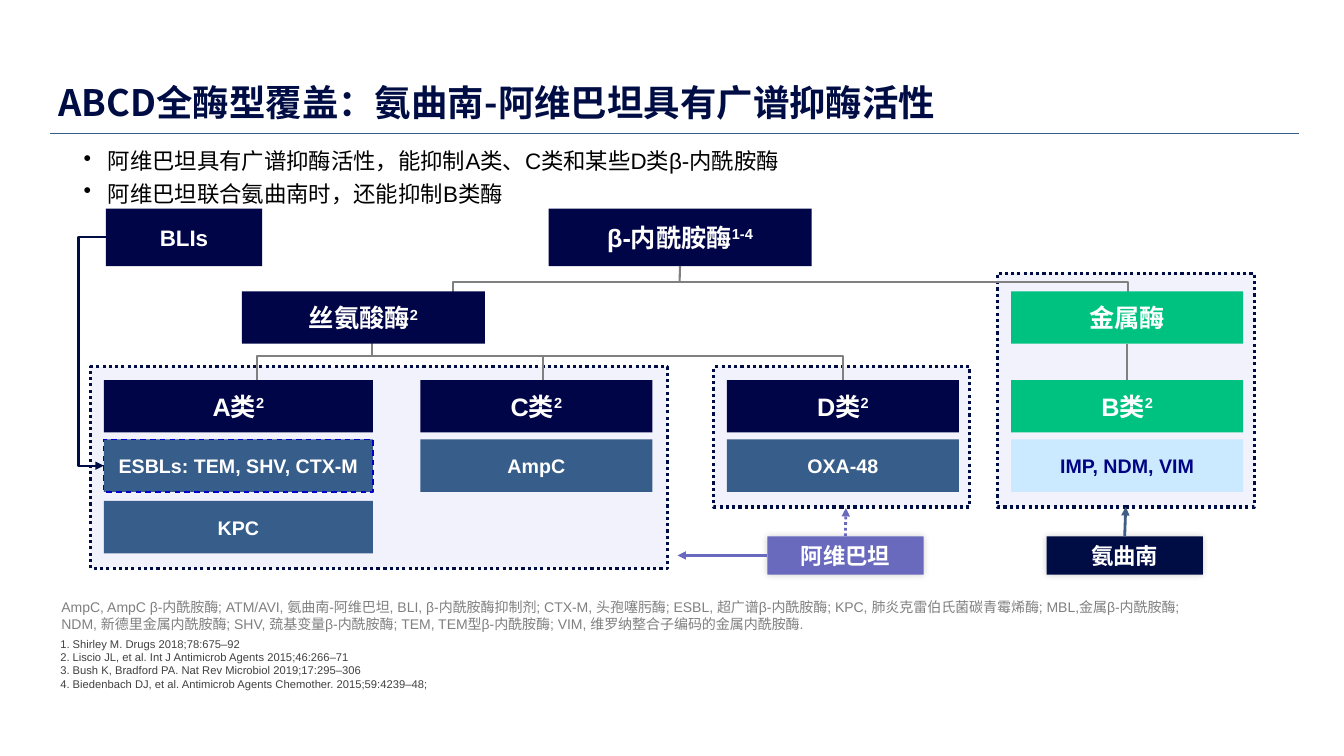
from dataclasses import dataclass
from typing import Optional

from lxml import etree
from pptx import Presentation
from pptx import util as u
from pptx.dml.color import RGBColor
from pptx.enum import dml, shapes, text
from pptx.oxml import ns

NAVY = RGBColor(0x00, 0x05, 0x48)
INK = RGBColor(0x00, 0x0D, 0x45)
DEEP = RGBColor(0x00, 0x0C, 0x44)
STEEL = RGBColor(0x37, 0x5E, 0x8A)
RULE = RGBColor(0x37, 0x5D, 0x8B)
ARROW_BLUE = RGBColor(0x40, 0x5D, 0x86)
GREEN = RGBColor(0x00, 0xC2, 0x80)
SKY = RGBColor(0xCC, 0xEA, 0xFF)
SKY_TEXT = RGBColor(0x00, 0x04, 0x83)
PURPLE = RGBColor(0x69, 0x6A, 0xBD)
BLUE = RGBColor(0x00, 0x00, 0xC9)
GRAY = RGBColor(0x80, 0x80, 0x80)
DARK_GRAY = RGBColor(0x40, 0x40, 0x40)
BLACK = RGBColor(0x00, 0x00, 0x00)
WHITE = RGBColor(0xFF, 0xFF, 0xFF)

CLASS_TOP, ENZYME_TOP, KPC_TOP = 3.77, 4.36, 4.97
A_LEFT, C_LEFT, D_LEFT, B_LEFT = 1.03, 4.17, 7.21, 10.03
A_WIDTH, TILE_WIDTH, TILE_HEIGHT = 2.67, 2.3, 0.52
DOTTED = dml.MSO_LINE.ROUND_DOT


@dataclass
class Tile:
    label: str
    left: float
    top: float
    width: float = TILE_WIDTH
    height: float = TILE_HEIGHT
    fill: RGBColor = NAVY
    size: int = 18
    color: RGBColor = WHITE
    note: str = ""
    dashed: bool = False
    shadow: bool = False


@dataclass
class TextBlock:
    lines: list[str]
    left: float
    top: float
    width: float
    height: float
    size: int
    color: RGBColor
    font: str = "Arial"
    bold: bool = False
    anchor: text.MSO_ANCHOR = text.MSO_ANCHOR.BOTTOM
    spacing: float = 1.0
    inset: tuple[float, float] = (0, 0)
    bullet: Optional[tuple[str, str, str]] = None
    indent: float = 0


def add_child(parent, tag: str, **attributes: str):
    child = etree.SubElement(parent, ns.qn(tag))
    for name, value in attributes.items():
        child.set(name, value)
    return child


def set_font(para, name: str, size: int, color: RGBColor, bold: bool) -> None:
    para.font.name = name
    para.font.size = u.Pt(size)
    para.font.bold = bold
    para.font.color.rgb = color


def set_insets(frame, across: float, down: float) -> None:
    frame.margin_left = frame.margin_right = u.Inches(across)
    frame.margin_top = frame.margin_bottom = u.Inches(down)


def add_text(page, block: TextBlock) -> None:
    box = page.shapes.add_textbox(*map(u.Inches, (block.left, block.top, block.width, block.height)))
    frame = box.text_frame
    frame.word_wrap = True
    frame.vertical_anchor = block.anchor
    set_insets(frame, *block.inset)
    frame.text = "\n".join(block.lines)
    for para in frame.paragraphs:
        if block.bullet:
            tag, key, value = block.bullet
            props = para._p.get_or_add_pPr()
            props.set("marL", str(u.Inches(block.indent)))
            props.set("indent", str(-u.Inches(block.indent)))
            add_child(props, tag, **{key: value})
        para.line_spacing = block.spacing
        set_font(para, block.font, block.size, block.color, block.bold)


def add_zone(page, left: float, top: float, width: float, height: float):
    zone = page.shapes.add_shape(shapes.MSO_SHAPE.RECTANGLE, *map(u.Inches, (left, top, width, height)))
    zone.shadow.inherit = False
    zone.fill.solid()
    zone.fill.fore_color.rgb = BLUE
    add_child(zone._element.spPr.find(".//" + ns.qn("a:srgbClr")), "a:alpha", val="5000")
    zone.line.color.rgb = INK
    zone.line.width = u.Pt(2.25)
    zone.line.dash_style = DOTTED
    return zone


def add_bracket(page, left: float, top: float, width: float, height: float) -> None:
    middle, center = left + width / 2, top + height / 2
    bracket = page.shapes.add_shape(
        shapes.MSO_SHAPE.RIGHT_BRACKET,
        *map(u.Inches, (middle - height / 2, center - width / 2, height, width)))
    bracket.rotation = 270
    bracket.adjustments[0] = 0
    bracket.shadow.inherit = False
    bracket.fill.background()
    bracket.line.color.rgb = GRAY
    bracket.line.width = u.Pt(1.5)


def add_tile(page, tile: Tile):
    box = page.shapes.add_shape(
        shapes.MSO_SHAPE.RECTANGLE, *map(u.Inches, (tile.left, tile.top, tile.width, tile.height)))
    box.shadow.inherit = False
    if tile.shadow:
        effects = box._element.spPr.find(ns.qn("a:effectLst"))
        shadow = add_child(effects, "a:outerShdw", blurRad=str(u.Pt(5)), dist="0", dir="0")
        add_child(add_child(shadow, "a:srgbClr", val="000000"), "a:alpha", val="20000")
    box.fill.solid()
    box.fill.fore_color.rgb = tile.fill
    if tile.dashed:
        box.line.color.rgb = BLUE
        box.line.width = u.Pt(1)
        box.line.dash_style = dml.MSO_LINE.DASH
    else:
        box.line.fill.background()
    frame = box.text_frame
    frame.word_wrap = True
    frame.vertical_anchor = text.MSO_ANCHOR.MIDDLE
    set_insets(frame, 0.05, 0.05)
    para = frame.paragraphs[0]
    para.alignment = text.PP_ALIGN.CENTER
    para.add_run().text = tile.label
    if tile.note:
        span = para.add_run()
        span.text = tile.note
        span._r.get_or_add_rPr().set("baseline", "30000")
    set_font(para, "Arial", tile.size, tile.color, True)
    return box


def add_line(page, start: tuple[float, float], end: tuple[float, float], color: RGBColor = GRAY,
             width: float = 1.5, arrow: bool = False, dotted: bool = False,
             kind: shapes.MSO_CONNECTOR = shapes.MSO_CONNECTOR.STRAIGHT):
    line = page.shapes.add_connector(kind, *map(u.Inches, (*start, *end)))
    line.line.color.rgb = color
    line.line.width = u.Pt(width)
    if dotted:
        line.line.dash_style = DOTTED
    if arrow:
        add_child(line.line._get_or_add_ln(), "a:tailEnd", type="triangle")
    add_child(line._element.spPr, "a:effectLst")
    return line


def main() -> None:
    deck = Presentation()
    deck.slide_width, deck.slide_height = u.Inches(13.33), u.Inches(7.5)
    page = deck.slides.add_slide(deck.slide_layouts[6])

    add_line(page, (0.5, 1.32), (12.88, 1.32), RULE, 0.75)
    for block in (
        TextBlock(["ABCD全酶型覆盖：氨曲南-阿维巴坦具有广谱抑酶活性"], 0.48, 0.64, 10.3, 0.64, 26, INK,
                  font="Noto Sans CJK SC", bold=True, spacing=0.9, inset=(0.1, 0.05)),
        TextBlock(["Shirley M. Drugs 2018;78:675–92",
                   "Liscio JL, et al. Int J Antimicrob Agents 2015;46:266–71",
                   "Bush K, Bradford PA. Nat Rev Microbiol 2019;17:295–306",
                   "Biedenbach DJ, et al. Antimicrob Agents Chemother. 2015;59:4239–48;"],
                  0.6, 6.46, 10.87, 0.39, 8, DARK_GRAY,
                  bullet=("a:buAutoNum", "type", "arabicPeriod"), indent=0.12),
        TextBlock(["AmpC, AmpC β-内酰胺酶; ATM/AVI, 氨曲南-阿维巴坦, BLI, β-内酰胺酶抑制剂; "
                   "CTX-M, 头孢噻肟酶; ESBL, 超广谱β-内酰胺酶; KPC, 肺炎克雷伯氏菌碳青霉烯酶; "
                   "MBL,金属β-内酰胺酶; NDM, 新德里金属内酰胺酶; SHV, 巯基变量β-内酰胺酶; "
                   "TEM, TEM型β-内酰胺酶; VIM, 维罗纳整合子编码的金属内酰胺酶."],
                  0.61, 5.93, 11.43, 0.34, 10, GRAY),
        TextBlock(["阿维巴坦具有广谱抑酶活性，能抑制A类、C类和某些D类β-内酰胺酶",
                   "阿维巴坦联合氨曲南时，还能抑制B类酶"],
                  0.83, 1.41, 7.48, 0.62, 16, BLACK, anchor=text.MSO_ANCHOR.TOP, spacing=1.2,
                  bullet=("a:buChar", "char", "•"), indent=0.24),
    ):
        add_text(page, block)

    add_zone(page, 7.08, 3.64, 2.54, 1.39)
    add_zone(page, 0.9, 3.64, 5.72, 2)
    metallo_zone = add_zone(page, 9.89, 2.71, 2.55, 2.32)
    add_bracket(page, 2.55, 3.53, 5.81, 0.28)
    add_bracket(page, 4.49, 2.8, 6.7, 0.15)
    add_line(page, (5.39, 3.53), (5.39, CLASS_TOP))
    add_line(page, (3.69, 3.38), (3.69, 3.53))

    tiles = (
        Tile("β-内酰胺酶", 5.44, 2.07, 2.61, 0.57, note="1-4"),
        Tile("丝氨酸酶", 2.4, 2.89, 2.41, note="2"),
        Tile("金属酶", B_LEFT, 2.89, fill=GREEN),
        Tile("A类", A_LEFT, CLASS_TOP, A_WIDTH, note="2"),
        Tile("C类", C_LEFT, CLASS_TOP, note="2"),
        Tile("D类", D_LEFT, CLASS_TOP, note="2"),
        Tile("B类", B_LEFT, CLASS_TOP, fill=GREEN, note="2"),
        Tile("ESBLs: TEM, SHV, CTX-M", A_LEFT, ENZYME_TOP, A_WIDTH, fill=STEEL, size=14, dashed=True),
        Tile("KPC", A_LEFT, KPC_TOP, A_WIDTH, fill=STEEL, size=14),
        Tile("AmpC", C_LEFT, ENZYME_TOP, fill=STEEL, size=14),
        Tile("OXA-48", D_LEFT, ENZYME_TOP, fill=STEEL, size=14),
        Tile("IMP, NDM, VIM", B_LEFT, ENZYME_TOP, fill=SKY, size=14, color=SKY_TEXT),
        Tile("氨曲南", 10.38, 5.32, 1.55, 0.38, DEEP, 16, shadow=True),
        Tile("阿维巴坦", 7.61, 5.32, 1.55, 0.38, PURPLE, 16, shadow=True),
        Tile("BLIs", 1.05, 2.07, 1.55, 0.57, size=16),
    )
    boxes = {tile.label: add_tile(page, tile) for tile in tiles}

    add_line(page, (6.74, 2.64), (6.74, 2.8)).begin_connect(boxes["β-内酰胺酶"], 2)
    metallo_link = add_line(page, (11.18, 3.41), (11.18, CLASS_TOP))
    metallo_link.begin_connect(boxes["金属酶"], 2)
    metallo_link.end_connect(boxes["B类"], 0)
    aztreonam_arrow = add_line(page, (11.16, 5.32), (11.16, 5.03), ARROW_BLUE, 2, arrow=True)
    aztreonam_arrow.begin_connect(boxes["氨曲南"], 0)
    aztreonam_arrow.end_connect(metallo_zone, 2)
    for end, side, dotted in (((6.72, 5.51), 1, False), ((8.39, 5.04), 0, True)):
        arrow = add_line(page, (7.61, 5.32), end, PURPLE, 2, arrow=True, dotted=dotted)
        arrow.begin_connect(boxes["阿维巴坦"], side)

    elbow = add_line(page, (1.05, 2.36), (1.03, 4.62), INK, 1.5, arrow=True,
                     kind=shapes.MSO_CONNECTOR.ELBOW)
    elbow.begin_connect(boxes["BLIs"], 1)
    elbow.end_connect(boxes["ESBLs: TEM, SHV, CTX-M"], 1)
    bend = round(u.Inches(0.27) / elbow.width * 100000)
    guides = elbow._element.spPr.find(".//" + ns.qn("a:avLst"))
    add_child(guides, "a:gd", name="adj1", fmla=f"val {bend}")

    deck.save("out.pptx")


if __name__ == "__main__":
    main()
